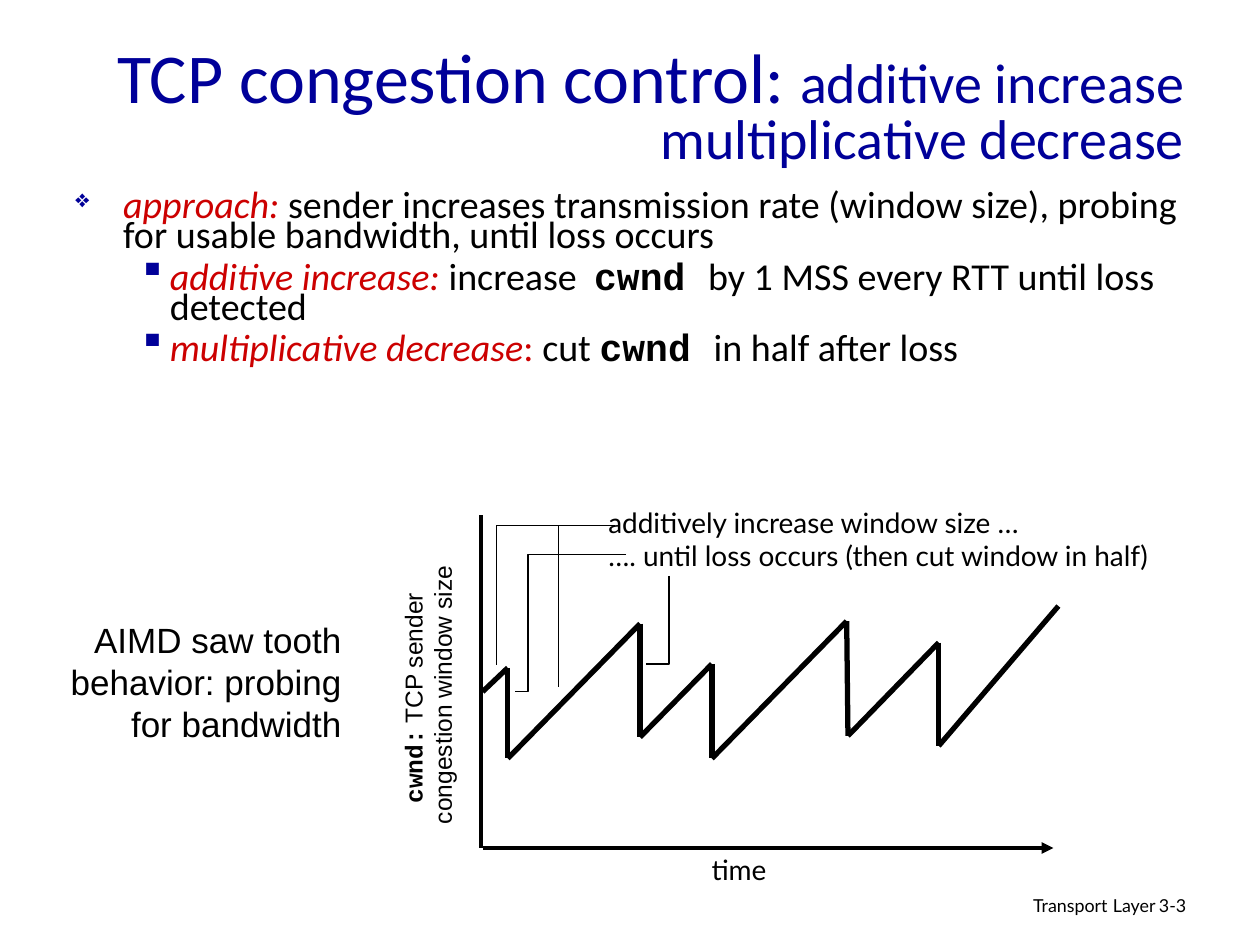
from itertools import pairwise

from lxml import etree
from pptx import Presentation
from pptx.dml.color import RGBColor
from pptx.enum import shapes, text
from pptx.oxml.ns import qn
from pptx.util import Inches, Pt

COLUMNS, ROWS = 100, 75
BLACK, NAVY, RED, WHITE = "000000", "000099", "CC0000", "FFFFFF"
LEFT, CENTER, RIGHT = text.PP_ALIGN.LEFT, text.PP_ALIGN.CENTER, text.PP_ALIGN.RIGHT


def color(value):
    return RGBColor.from_string(value)


class SlideBuilder:
    def __init__(self, width=10, height=7.5):
        self.presentation = Presentation()
        self.presentation.slide_width = Inches(width)
        self.presentation.slide_height = Inches(height)
        self.slide = self.presentation.slides.add_slide(self.presentation.slide_layouts[6])
        self.column = self.presentation.slide_width / COLUMNS
        self.row = self.presentation.slide_height / ROWS

    def point(self, x, y):
        return round(x * self.column), round(y * self.row)

    def text_box(self, box, paragraphs, size, font, ink=BLACK, align=LEFT, wrap=False,
                 spacing=None, anchor=text.MSO_ANCHOR.TOP, rotation=0, fill=None):
        shape = self.slide.shapes.add_textbox(*self.point(*box[:2]), *self.point(*box[2:]))
        shape.rotation = rotation
        if fill:
            shape.fill.solid()
            shape.fill.fore_color.rgb = color(fill)
        frame = shape.text_frame
        frame.word_wrap = wrap
        frame.vertical_anchor = anchor
        for index, runs in enumerate(paragraphs):
            paragraph = frame.add_paragraph() if index else frame.paragraphs[0]
            paragraph.alignment = align
            paragraph.line_spacing = spacing
            for words, style in runs:
                run = paragraph.add_run()
                run.text = words
                run.font.size = Pt(style.get("size", size))
                run.font.name = style.get("font", font)
                run.font.color.rgb = color(style.get("ink", ink))
                run.font.bold = style.get("bold", False)
                run.font.italic = style.get("italic", False)
        return frame.paragraphs

    def bullet(self, paragraph, character, margin, indent, percent, before=7):
        paragraph.space_before = Pt(before)
        properties = paragraph._p.get_or_add_pPr()
        properties.set("marL", str(Inches(margin)))
        properties.set("indent", str(Inches(-indent)))
        bullet_color = etree.SubElement(properties, qn("a:buClr"))
        etree.SubElement(bullet_color, qn("a:srgbClr"), val=NAVY)
        etree.SubElement(properties, qn("a:buSzPct"), val=str(percent * 1000))
        etree.SubElement(properties, qn("a:buChar"), char=character)

    def line(self, start, end, weight, arrow=False):
        connector = self.slide.shapes.add_connector(
            shapes.MSO_CONNECTOR.STRAIGHT, *self.point(*start), *self.point(*end))
        connector.line.color.rgb = color(BLACK)
        connector.line.width = Pt(weight)
        if arrow:
            etree.SubElement(connector.line._get_or_add_ln(), qn("a:tailEnd"), type="triangle")
        etree.SubElement(connector._element.spPr, qn("a:effectLst"))

    def leader(self, points, weight=0.75):
        start, *others = [self.point(*point) for point in points]
        builder = self.slide.shapes.build_freeform(*start)
        builder.add_line_segments(others, close=False)
        shape = builder.convert_to_shape()
        shape.shadow.inherit = False
        shape.fill.background()
        shape.line.color.rgb = color(BLACK)
        shape.line.width = Pt(weight)


def add_text(builder):
    term = {"ink": RED, "italic": True}
    code = {"font": "Courier New", "bold": True}
    builder.text_box((61, 70.5, 31.7, 3.1),
                     [[("Transport", {}), (" ", {"size": 11.9}), ("Layer", {})]],
                     10.2, "Lato", align=RIGHT, wrap=True, spacing=0.9)
    builder.text_box((91, 70.7, 7.4, 3), [[("3-3", {})]], 10.2, "Lato", wrap=True, spacing=0.9)
    builder.text_box((2.5, 2.5, 92.5, 12.5),
                     [[("TCP congestion control: ", {"size": 40}),
                       ("additive increase multiplicative decrease", {})]],
                     32, "Calibri", NAVY, RIGHT, True, 0.8, text.MSO_ANCHOR.MIDDLE)
    approach, *rules = builder.text_box(
        (5, 15, 91.6, 15.8),
        [[("approach: ", term),
          ("sender increases transmission rate (window size), probing for usable bandwidth, "
           "until loss occurs", {})],
         [("additive increase:", term), (" increase  ", {}), ("cwnd ", code),
          ("by 1 MSS every RTT until loss detected", {})],
         [("multiplicative decrease", term), (":", {"ink": RED}), (" cut ", {}),
          ("cwnd ", code), ("in half after loss", {})]],
        21.7, "Calibri", wrap=True, spacing=0.65)
    builder.bullet(approach, "❖", 0.38, 0.38, 65)
    for rule in rules:
        rule.level = 1
        builder.bullet(rule, "▪", 0.75, 0.25, 100)
    builder.text_box((22.7, 52.3, 22.5, 5.7),
                     [[("cwnd:", code), (" TCP sender ", {})], [("congestion window size", {})]],
                     14, "Arial", align=CENTER, rotation=270, fill=WHITE)
    caption = ["AIMD saw tooth", "behavior: probing", "for bandwidth"]
    builder.text_box((4.6, 48.6, 23.5, 11), [[(words, {})] for words in caption],
                     20, "Arial", align=RIGHT)


def add_chart_drawing(builder):
    builder.line((38.3, 67.3), (83.6, 67.3), 2.25, arrow=True)
    builder.line((38.2, 40.9), (38.2, 67.3), 2.25)
    saw_tooth = [(38.3, 54.9), (40.3, 53), (40.3, 60.2), (50.8, 49.5), (50.8, 58.5), (56.5, 52.7),
                 (56.5, 60.2), (67.2, 49.3), (67.3, 58.4), (74.5, 51), (74.5, 59.2), (84, 48.1)]
    for start, end in pairwise(saw_tooth):
        builder.line(start, end, 3)
    notes = ["additively increase window size …", "…. until loss occurs (then cut window in half)"]
    builder.text_box((47.3, 39.6, 47.8, 6.4), [[(words, {})] for words in notes], 16, "Lato")
    leaders = [
        [(48.8, 41.7), (39.4, 41.7), (39.4, 52.8)],
        [(49.7, 44), (41.9, 44), (41.9, 54.9), (40.9, 54.9)],
        [(48.8, 41.7), (44.3, 41.7), (44.3, 54.5)],
        [(53.1, 45.7), (53.1, 52.7), (51.3, 52.7)],
    ]
    for points in leaders:
        builder.leader(points)
    builder.text_box((55.3, 67.2, 6.7, 3.7), [[("time", {})]], 16, "Lato", align=CENTER)


def main():
    builder = SlideBuilder()
    add_text(builder)
    add_chart_drawing(builder)
    builder.presentation.save("out.pptx")


if __name__ == "__main__":
    main()
